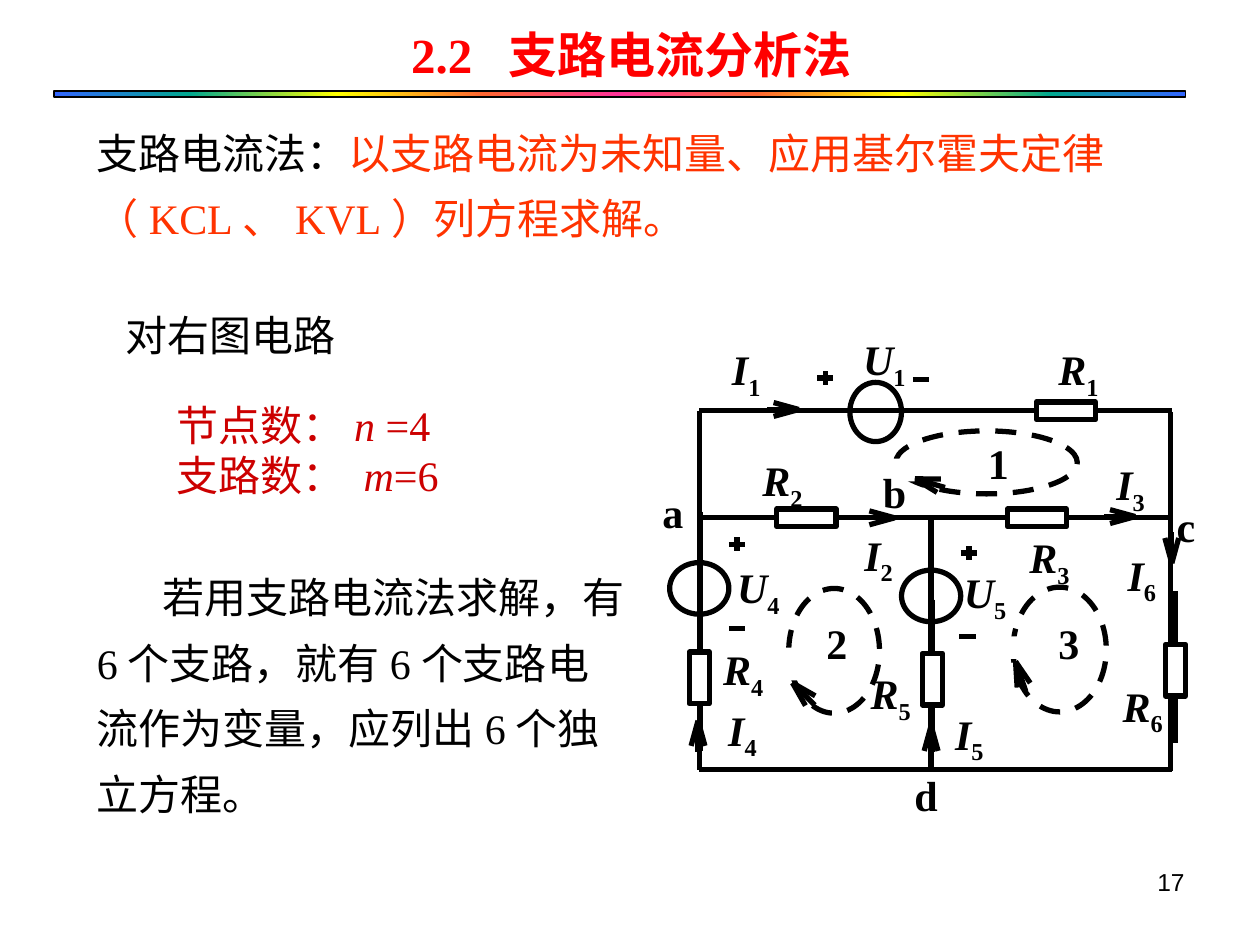
from dataclasses import dataclass
from math import cos, radians, sin

from lxml import etree
from pptx import Presentation
from pptx.dml.color import RGBColor
from pptx.enum.dml import MSO_LINE
from pptx.enum.shapes import MSO_CONNECTOR, MSO_SHAPE
from pptx.enum.text import MSO_ANCHOR, PP_ALIGN
from pptx.oxml.ns import qn
from pptx.util import Inches, Pt

STRAIGHT = MSO_CONNECTOR.STRAIGHT
RECTANGLE, OVAL = MSO_SHAPE.RECTANGLE, MSO_SHAPE.OVAL
DASH = MSO_LINE.DASH
TOP, MIDDLE = MSO_ANCHOR.TOP, MSO_ANCHOR.MIDDLE
LEFT, CENTER, RIGHT, JUSTIFY = PP_ALIGN.LEFT, PP_ALIGN.CENTER, PP_ALIGN.RIGHT, PP_ALIGN.JUSTIFY


@dataclass(frozen=True)
class Theme:
    serif: str = "Times New Roman"
    sans: str = "Arial"
    black: str = "000000"
    white: str = "FFFFFF"
    title: str = "FF0000"
    method: str = "FF3300"
    counts: str = "CC0000"
    rainbow: tuple = ("3366FF", "01A78F", "FFFF00", "FF6633", "FF3399")
    title_size: int = 28
    text_size: int = 24
    number_size: int = 14
    wire: int = 3


class CircuitPage:
    def __init__(self, deck, theme):
        self.theme = theme
        self.page = deck.slides.add_slide(deck.slide_layouts[6])

    def text(self, place, paras, align=LEFT, anchor=TOP, inset=True, spacing=None, indent=0, **style):
        box = self.page.shapes.add_textbox(*map(Inches, place))
        frame = box.text_frame
        frame.word_wrap = True
        frame.vertical_anchor = anchor
        if not inset:
            for side in ("left", "top", "right", "bottom"):
                setattr(frame, f"margin_{side}", 0)
        for index, spans in enumerate(paras):
            para = frame.add_paragraph() if index else frame.paragraphs[0]
            para.alignment = align
            if spacing:
                para.line_spacing = spacing
            if indent:
                para._p.get_or_add_pPr().set("indent", str(Inches(indent)))
            for words, changes in spans:
                self.span(para, words, {**style, **changes})

    def span(self, para, words, style):
        span = para.add_run()
        span.text = words
        formats = {"name": self.theme.serif, "size": self.theme.text_size, "color": self.theme.black, **style}
        formats["size"] = Pt(formats["size"])
        span.font.color.rgb = RGBColor.from_string(formats.pop("color"))
        for key in ("baseline", "spc"):
            if key in formats:
                span._r.get_or_add_rPr().set(key, str(formats.pop(key)))
        for key, value in formats.items():
            setattr(span.font, key, value)

    def symbol(self, letter, index, left, top, width=0.6, height=0.53):
        spans = [(letter, {"italic": True}), (index, {"baseline": -25000})]
        self.text((left, top, width, height), [spans], JUSTIFY, inset=False, bold=True)

    def line(self, start_x, start_y, end_x, end_y):
        line = self.page.shapes.add_connector(STRAIGHT, *map(Inches, (start_x, start_y, end_x, end_y)))
        line.line.color.rgb = RGBColor.from_string(self.theme.black)
        line.line.width = Pt(self.theme.wire)
        etree.SubElement(line._element.spPr, qn("a:effectLst"))

    def shape(self, kind, place, fill=None, width=0, dash=None):
        shape = self.page.shapes.add_shape(kind, *map(Inches, place))
        shape.shadow.inherit = False
        if fill:
            shape.fill.solid()
            shape.fill.fore_color.rgb = RGBColor.from_string(fill)
        else:
            shape.fill.background()
        if width:
            shape.line.color.rgb = RGBColor.from_string(self.theme.black)
            shape.line.width = Pt(width)
            shape.line.dash_style = dash
        else:
            shape.line.fill.background()
        return shape

    def component(self, kind, center_x, center_y, width, height):
        place = (center_x - width / 2, center_y - height / 2, width, height)
        return self.shape(kind, place, self.theme.white, self.theme.wire)

    def resistor(self, center_x, center_y, across):
        if across:
            self.component(RECTANGLE, center_x, center_y, 0.14, 0.47).rotation = 90
        else:
            self.component(RECTANGLE, center_x, center_y, 0.16, 0.41)

    def minus(self, center_x, center_y):
        self.line(center_x - 0.065, center_y, center_x + 0.065, center_y)

    def plus(self, center_x, center_y):
        self.minus(center_x, center_y)
        self.line(center_x, center_y - 0.055, center_x, center_y + 0.055)

    def arrow(self, tip_x, tip_y, back_angle):
        along_x, along_y = cos(radians(back_angle)), sin(radians(back_angle))
        for length, side in ((0.2, -0.055), (0.2, 0.055), (0.25, 0)):
            self.line(tip_x, tip_y,
                      tip_x + length * along_x - side * along_y,
                      tip_y + length * along_y + side * along_x)

    def rainbow_bar(self, place):
        bar = self.shape(RECTANGLE, place, self.theme.black, 1)
        bar.fill.gradient()
        bar.fill.gradient_angle = 0
        stops = bar._element.spPr.find(".//" + qn("a:gsLst"))
        for stop in list(stops):
            stops.remove(stop)
        colors = self.theme.rainbow + self.theme.rainbow[-2::-1]
        for index, color in enumerate(colors):
            position = round(100 * index / (len(colors) - 1)) * 1000
            stop = etree.SubElement(stops, qn("a:gs"), pos=str(position))
            etree.SubElement(stop, qn("a:srgbClr"), val=color)


def add_texts(page, theme):
    page.text((0.51, 0.13, 9, 0.6), [[("2.2", {}), (" ", {"spc": 700}), ("支路电流分析法", {})]],
              CENTER, MIDDLE, size=theme.title_size, color=theme.title, bold=True)
    page.text((0.67, 0.84, 8.91, 1.15), [[
        ("支路电流法：", {}),
        ("以支路电流为未知量、应用基尔霍夫定律（KCL、KVL）列方程求解。", {"color": theme.method}),
    ]], spacing=1.3)
    page.text((0.9, 2.41, 3.67, 0.5), [[("对右图电路", {})]])
    page.text((1.3, 3.12, 3.9, 0.91), [
        [("节点数：", {}), ("n", {"italic": True}), (" =4", {})],
        [("支路数： ", {}), ("m", {"italic": True}), ("=6", {})],
    ], color=theme.counts)
    page.text((0.67, 4.37, 4.41, 2.2), [[
        ("若用支路电流法求解，有6个支路，就有6个支路电流作为变量，应列出6个独立方程。", {}),
    ]], spacing=1.3, indent=0.52)
    page.text((7.17, 6.83, 2.33, 0.52), [[("17", {})]], RIGHT, name=theme.sans, size=theme.number_size)


def add_circuit(page):
    for source in ((6.95, 3.27, 0.41, 0.47), (7.39, 4.73, 0.47, 0.41), (5.55, 4.67, 0.47, 0.41)):
        page.component(OVAL, *source)
    for height in (3.26, 4.11, 6.11):
        page.line(5.55, height, 9.3, height)
    for start, end, height in ((7.5, 8.89, 4.11), (7.13, 5.74, 4.11), (9.19, 7.8, 3.26), (6.24, 7.64, 3.26)):
        page.line(start, height, end, height)
    for left, top, bottom in ((5.55, 3.26, 6.11), (9.29, 3.27, 6.12), (7.39, 4.1, 6.11), (9.33, 4.69, 5.9),
                              (7.39, 4.12, 5.34), (5.56, 4.06, 5.27), (7.4, 4.76, 5.97), (5.56, 4.75, 5.96)):
        page.line(left, top, left, bottom)
    for center_x, center_y in ((8.23, 4.11), (6.4, 4.11), (8.46, 3.26)):
        page.resistor(center_x, center_y, True)
    for center_x, center_y in ((9.33, 5.32), (7.4, 5.39), (5.55, 5.38)):
        page.resistor(center_x, center_y, False)
    for mark in ((6.55, 3), (7.69, 4.39), (5.85, 4.32)):
        page.plus(*mark)
    for mark in ((7.31, 3.01), (7.68, 5.05), (5.85, 4.99)):
        page.minus(*mark)
    for arrow in ((9.3, 4.47, 270), (5.54, 5.72, 90), (7.39, 5.76, 90),
                  (6.34, 3.25, 180), (7.1, 4.11, 180), (9.01, 4.1, 180)):
        page.arrow(*arrow)


def add_labels(page, theme):
    symbols = {
        "U": (("1", 6.85, 2.65), ("4", 5.85, 4.46), ("5", 7.65, 4.5)),
        "R": (("1", 8.4, 2.73), ("2", 6.05, 3.61), ("3", 8.17, 4.22),
              ("4", 5.74, 5.11), ("5", 6.91, 5.3), ("6", 8.91, 5.4)),
        "I": (("1", 5.81, 2.73), ("2", 6.86, 4.2), ("3", 8.86, 3.64),
              ("4", 5.78, 5.59), ("5", 7.58, 5.62), ("6", 8.95, 4.36)),
    }
    for letter, entries in symbols.items():
        for entry in entries:
            page.symbol(letter, *entry)
    for loop in ((7.11, 3.42, 1.44, 0.5), (6.26, 4.67, 0.72, 0.99), (8.04, 4.66, 0.74, 0.99)):
        page.shape(OVAL, loop, width=theme.wire, dash=DASH)
    for number, left, top in (("1", 7.84, 3.47), ("2", 6.56, 4.9), ("3", 8.4, 4.9)):
        page.text((left, top, 0.47, 0.53), [[(number, {})]], JUSTIFY, inset=False, bold=True)
    for arrow in ((7.26, 3.8, 16), (8.06, 5.25, 71), (6.29, 5.42, 45)):
        page.arrow(*arrow)
    for opening in ((7.95, 5.05, 0.27, 0.18), (6.14, 5.14, 0.25, 0.26), (6.88, 3.64, 0.38, 0.18)):
        page.shape(RECTANGLE, opening, theme.white)
    for node, left, top in (("a", 5.16, 3.81), ("b", 6.91, 3.65), ("c", 9.24, 3.92), ("d", 7.16, 6.06)):
        page.text((left, top, 0.5, 0.5), [[(node, {})]], bold=True)


def main():
    deck = Presentation()
    deck.slide_width, deck.slide_height = Inches(10), Inches(7.5)
    theme = Theme()
    page = CircuitPage(deck, theme)
    add_texts(page, theme)
    add_circuit(page)
    add_labels(page, theme)
    page.rainbow_bar((0.43, 0.72, 8.98, 0.05))
    deck.save("out.pptx")


if __name__ == "__main__":
    main()
